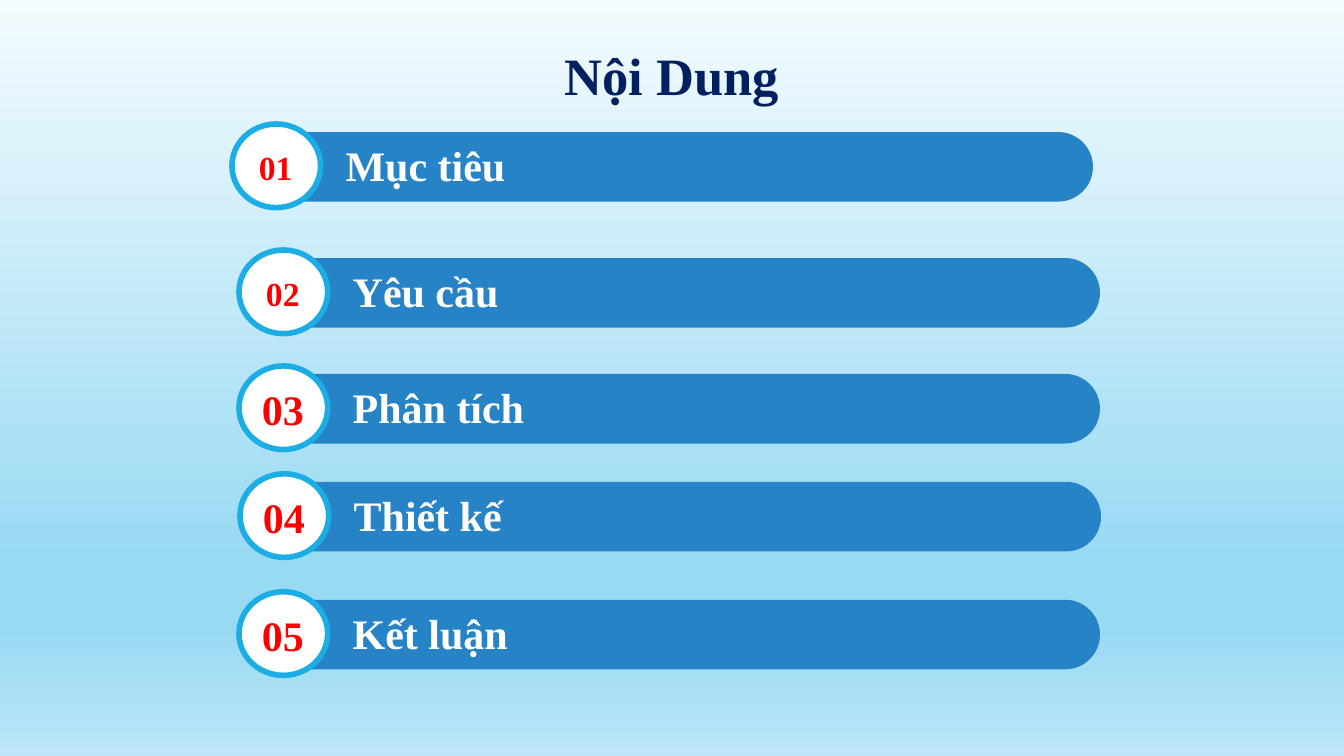
from dataclasses import dataclass

from lxml.etree import SubElement
from pptx import Presentation
from pptx.dml.color import RGBColor
from pptx.enum.shapes import MSO_SHAPE as Preset
from pptx.enum.text import MSO_ANCHOR as Anchor, MSO_AUTO_SIZE as AutoSize, PP_ALIGN as Align
from pptx.oxml.ns import qn
from pptx.util import Inches, Pt


@dataclass(frozen=True)
class Theme:
    """Colours, font and type sizes of the slide."""
    font: str = "Times New Roman"
    title: str = "002060"
    bar: str = "2683C6"
    ring: str = "1CADE4"
    white: str = "FFFFFF"
    number: str = "FF0000"
    background: tuple = ((0, "F4FBFE"), (74, "99DAF3"), (83, "99DAF3"), (100, "BBE6F7"))
    title_size: float = 37.5
    label_size: int = 30
    small_number_size: int = 24


THEME = Theme()
ROW_WIDTH, ROW_HEIGHT = 8.54, 0.69
AGENDA = [
    (2.3, 1.31, "01", THEME.small_number_size, "Mục tiêu"),
    (2.37, 2.56, "02", THEME.small_number_size, "Yêu cầu"),
    (2.37, 3.71, "03", THEME.label_size, "Phân tích"),
    (2.38, 4.78, "04", THEME.label_size, "Thiết kế"),
    (2.37, 5.95, "05", THEME.label_size, "Kết luận"),
]


def paint_background(slide):
    """Fill the slide with a vertical gradient."""
    fill = slide.background.fill
    fill.gradient()
    fill.gradient_angle = 270
    stops = slide.element.find(".//" + qn("a:gsLst"))
    for stop in list(stops):
        stops.remove(stop)
    for position, color in THEME.background:
        stop = SubElement(stops, qn("a:gs"), pos=str(position * 1000))
        SubElement(stop, qn("a:srgbClr"), val=color)


def add_text(slide, box, text, size, color, align=Align.LEFT, anchor=Anchor.MIDDLE):
    """Add one bold line of text in a box and return its shape."""
    shape = slide.shapes.add_textbox(*map(Inches, box))
    frame = shape.text_frame
    frame.word_wrap = True
    frame.vertical_anchor = anchor
    paragraph = frame.paragraphs[0]
    paragraph.alignment = align
    run = paragraph.add_run()
    run.text = text
    run.font.name = THEME.font
    run.font.size = Pt(size)
    run.font.bold = True
    run.font.color.rgb = RGBColor.from_string(color)
    return shape


def add_turned_shape(slide, preset, box, rotation, color):
    """Add a shape turned by a quarter so that it covers the box."""
    left, top, width, height = box
    shift = (width - height) / 2
    turned = (left + shift, top - shift, height, width)
    shape = slide.shapes.add_shape(preset, *map(Inches, turned))
    shape.rotation = rotation
    shape.shadow.inherit = False
    shape.fill.solid()
    shape.fill.fore_color.rgb = RGBColor.from_string(color)
    shape.line.fill.background()
    return shape


def add_title(slide, box):
    """Place the slide title in the box."""
    shape = add_text(slide, box, "Nội Dung", THEME.title_size, THEME.title,
                     Align.CENTER, Anchor.BOTTOM)
    shape.text_frame.paragraphs[0].line_spacing = 0.7


def add_agenda_row(slide, box, number, number_size, label):
    """Place a bar with its label and numbered ring in the box."""
    left, top, width, height = box
    bar = add_turned_shape(slide, Preset.ROUND_2_SAME_RECTANGLE,
                           (left + 0.43, top, width - 0.43, height), 90, THEME.bar)
    bar.adjustments[0] = 0.5
    bar.adjustments[1] = 0

    ring = add_turned_shape(slide, Preset.OVAL, (left, top - 0.08, 0.88, 0.83),
                            270, THEME.white)
    ring.line.color.rgb = RGBColor.from_string(THEME.ring)
    ring.line.width = Pt(4)

    number_height = number_size / 60
    number_box = (left, top + (height - number_height) / 2, 0.87, number_height)
    number_frame = add_text(slide, number_box, number, number_size, THEME.number,
                            Align.CENTER).text_frame
    number_frame.margin_top = number_frame.margin_bottom = 0
    label_frame = add_text(slide, (left + 1.03, top + 0.02, 7.24, 0.61), label,
                           THEME.label_size, THEME.white).text_frame
    for frame in (number_frame, label_frame):
        frame.auto_size = AutoSize.SHAPE_TO_FIT_TEXT


def main():
    """Build and save the agenda slide."""
    presentation = Presentation()
    presentation.slide_width = Inches(13.33)
    presentation.slide_height = Inches(7.5)
    slide = presentation.slides.add_slide(presentation.slide_layouts[6])
    paint_background(slide)
    add_title(slide, (5.48, 0.44, 2.37, 0.64))
    for left, top, number, number_size, label in AGENDA:
        add_agenda_row(slide, (left, top, ROW_WIDTH, ROW_HEIGHT), number, number_size, label)
    presentation.save("out.pptx")


if __name__ == "__main__":
    main()
